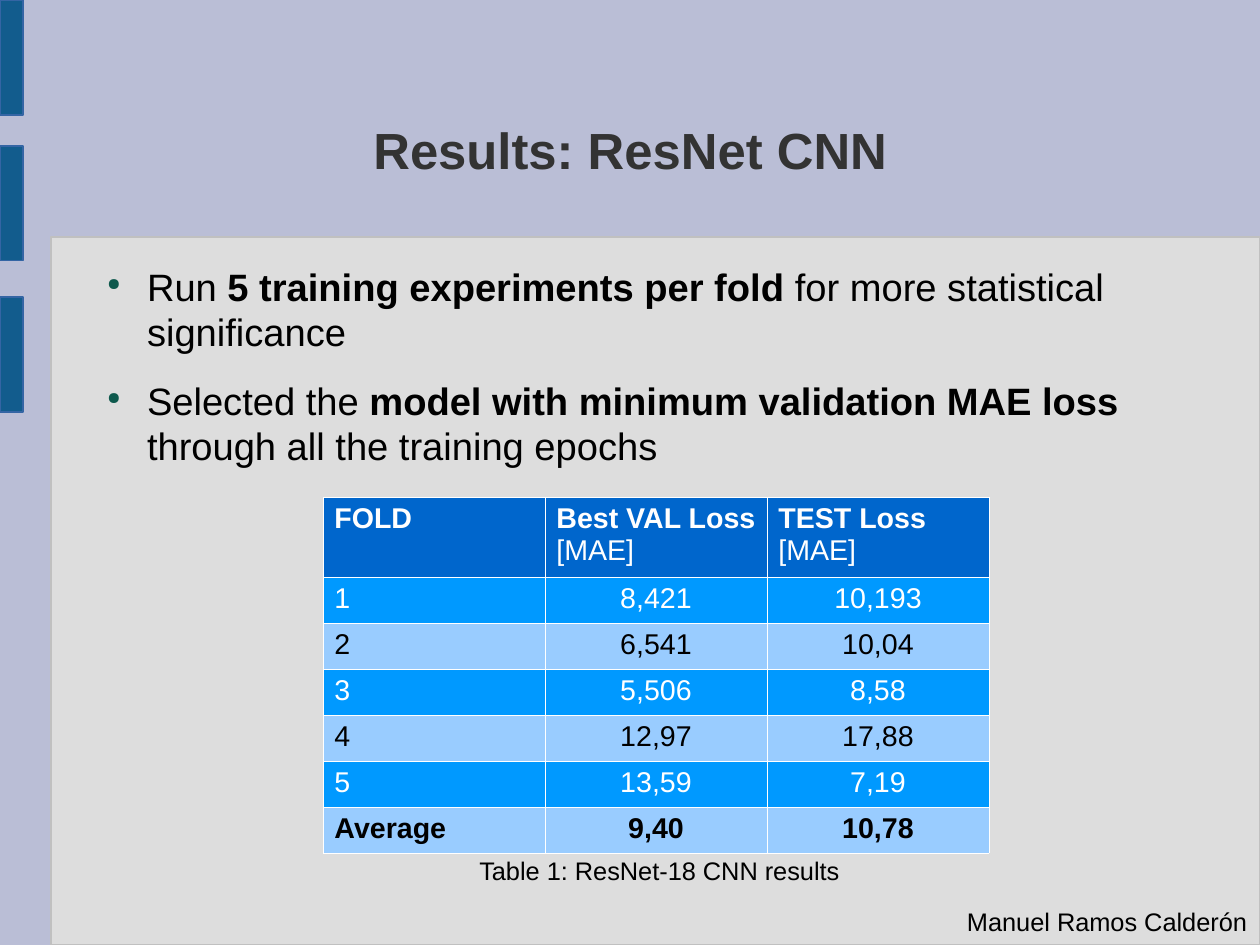
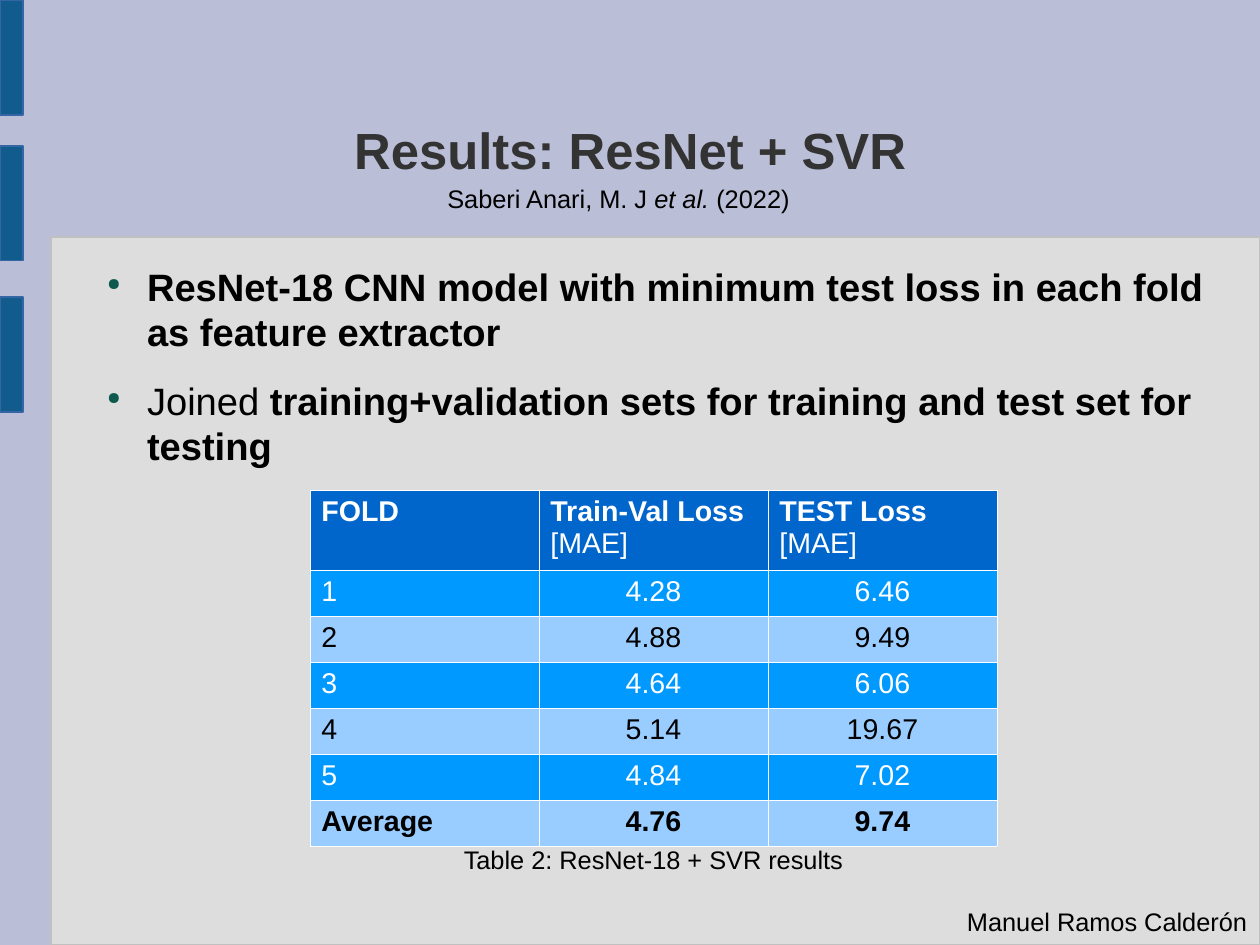
import pptx
import pptx.util
import pptx.dml.color
import pptx.enum.shapes
import pptx.enum.text
import pptx.oxml
import pptx.oxml.ns

PX = 8000  # EMU in one px
FONT = "Arial"
COLORS = {
    "background": "BABED6", "panel": "DDDDDD", "panel line": "C0C0C0",
    "band": "125C8D", "band line": "3465A4", "title": "333333",
    "text": "000000", "bullet": "0E594D", "white": "FFFFFF",
    "header": "0066CC", "odd row": "0099FF", "even row": "99CCFF",
}
RGB = {name: pptx.dml.color.RGBColor.from_string(value) for name, value in COLORS.items()}
NAMESPACE = pptx.oxml.ns.nsdecls("a")
LEFT = pptx.enum.text.PP_ALIGN.LEFT
CENTER = pptx.enum.text.PP_ALIGN.CENTER
TOP = pptx.enum.text.MSO_ANCHOR.TOP
MIDDLE = pptx.enum.text.MSO_ANCHOR.MIDDLE

BULLET = (
    f'<a:buClr {NAMESPACE}><a:srgbClr val="{COLORS["bullet"]}"/></a:buClr>',
    f'<a:buSzPct {NAMESPACE} val="45000"/>',
    f'<a:buChar {NAMESPACE} char="●"/>',
)

# Each run is (text, style): "b" bold, "i" italic, "" plain
SLIDES = [
    {
        "title": "Results: ResNet CNN",
        "bullets": [
            [("Run ", ""), ("5 training experiments per fold", "b"),
             (" for more statistical significance", "")],
            [("Selected the ", ""), ("model with minimum validation MAE loss", "b"),
             (" through all the training epochs", "")],
        ],
        "table": {"left": 323, "top": 497, "column": 222},
        "loss": "Best VAL Loss ",
        "results": [("1", "8,421", "10,193"), ("2", "6,541", "10,04"), ("3", "5,506", "8,58"),
                    ("4", "12,97", "17,88"), ("5", "13,59", "7,19"), ("Average", "9,40", "10,78")],
        "notes": [((315, 855, 689, 33), [("Table 1: ResNet-18 CNN results", "")])],
    },
    {
        "title": "Results: ResNet + SVR",
        "bullets": [
            [("ResNet-18 CNN model with minimum test loss in each fold as feature extractor", "b")],
            [("Joined ", ""),
             ("training+validation sets for training and test set for testing", "b")],
        ],
        "table": {"left": 310, "top": 490, "column": 229},
        "loss": "Train-Val Loss ",
        "results": [("1", "4.28", "6.46"), ("2", "4.88", "9.49"), ("3", "4.64", "6.06"),
                    ("4", "5.14", "19.67"), ("5", "4.84", "7.02"), ("Average", "4.76", "9.74")],
        "notes": [
            ((309, 844, 689, 33), [("Table 2: ResNet-18 + SVR results", "")]),
            ((274, 183, 689, 33), [("Saberi Anari, M. J ", ""), ("et al.", "i"), (" (2022)", "")]),
        ],
    },
]


def write(paragraph, runs, size, color="text", align=LEFT):
    paragraph.alignment = align
    paragraph.font.name = FONT
    paragraph.font.size = pptx.util.Pt(size)
    paragraph.font.color.rgb = RGB[color]
    for text, style in runs:
        run = paragraph.add_run()
        run.text = text
        run.font.bold = style == "b"
        run.font.italic = style == "i"


def add_box(slide, bounds, anchor=TOP):
    frame = slide.shapes.add_textbox(*(value * PX for value in bounds)).text_frame
    frame.word_wrap = True
    frame.vertical_anchor = anchor
    frame.margin_left = frame.margin_right = frame.margin_top = frame.margin_bottom = 0
    return frame


presentation = pptx.Presentation()
presentation.slide_width = 1260 * PX
presentation.slide_height = 945 * PX
background = presentation.slide_master.background.fill
background.solid()
background.fore_color.rgb = RGB["background"]

for content in SLIDES:
    slide = presentation.slides.add_slide(presentation.slide_layouts[6])

    # Panel and side bands
    blocks = [((51, 237, 1209, 708), "panel")]
    blocks += [((0, top, 23, 115), "band") for top in (0, 146, 297)]
    for bounds, name in blocks:
        shape = slide.shapes.add_shape(
            pptx.enum.shapes.MSO_SHAPE.RECTANGLE, *(value * PX for value in bounds))
        shape.shadow.inherit = False
        shape.fill.solid()
        shape.fill.fore_color.rgb = RGB[name]
        shape.line.color.rgb = RGB[name + " line"]
        shape.line.width = pptx.util.Pt(0)

    # Title
    frame = add_box(slide, (93, 70, 1075, 158), MIDDLE)
    write(frame.paragraphs[0], [(content["title"], "b")], 32, "title", CENTER)

    # Bullets
    frame = add_box(slide, (93, 263, 1122, 220))
    for index, runs in enumerate(content["bullets"]):
        paragraph = frame.add_paragraph() if index else frame.paragraphs[0]
        properties = paragraph._p.get_or_add_pPr()
        properties.set("marL", str(54 * PX))
        properties.set("indent", str(-40 * PX))
        for element in BULLET:
            properties.append(pptx.oxml.parse_xml(element))
        paragraph.space_after = pptx.util.Pt(14.2)
        write(paragraph, runs, 24)

    # Author
    frame = add_box(slide, (967, 906, 290, 33))
    write(frame.paragraphs[0], [("Manuel Ramos Calderón", "")], 16)

    # Results table
    header = [[("FOLD", "b")]]
    header += [[(loss, "b"), ("[MAE]", "")] for loss in (content["loss"], "TEST Loss ")]
    rows = [header]
    for result in content["results"]:
        style = "b" if result[0] == "Average" else ""
        rows.append([[(value, style)] for value in result])
    heights = [80] + [46] * len(content["results"])
    place = content["table"]
    table = slide.shapes.add_table(
        len(rows), 3, place["left"] * PX, place["top"] * PX,
        3 * place["column"] * PX, sum(heights) * PX).table
    table.first_row = table.horz_banding = False
    for column in table.columns:
        column.width = place["column"] * PX
    for row_index, row in enumerate(rows):
        table.rows[row_index].height = heights[row_index] * PX
        if row_index == 0:
            fill, color = "header", "white"
        elif row_index % 2:
            fill, color = "odd row", "white"
        else:
            fill, color = "even row", "text"
        for column_index, runs in enumerate(row):
            cell = table.cell(row_index, column_index)
            for side in "LRTB":
                cell._tc.get_or_add_tcPr().append(pptx.oxml.parse_xml(
                    f'<a:ln{side} {NAMESPACE} w="762"><a:solidFill>'
                    f'<a:srgbClr val="{COLORS["white"]}"/></a:solidFill></a:ln{side}>'))
            cell.fill.solid()
            cell.fill.fore_color.rgb = RGB[fill]
            align = CENTER if row_index and column_index else LEFT
            write(cell.text_frame.paragraphs[0], runs, 18, color, align)

    # Caption and citation
    for bounds, runs in content["notes"]:
        write(add_box(slide, bounds).paragraphs[0], runs, 16, align=CENTER)

presentation.save("out.pptx")
